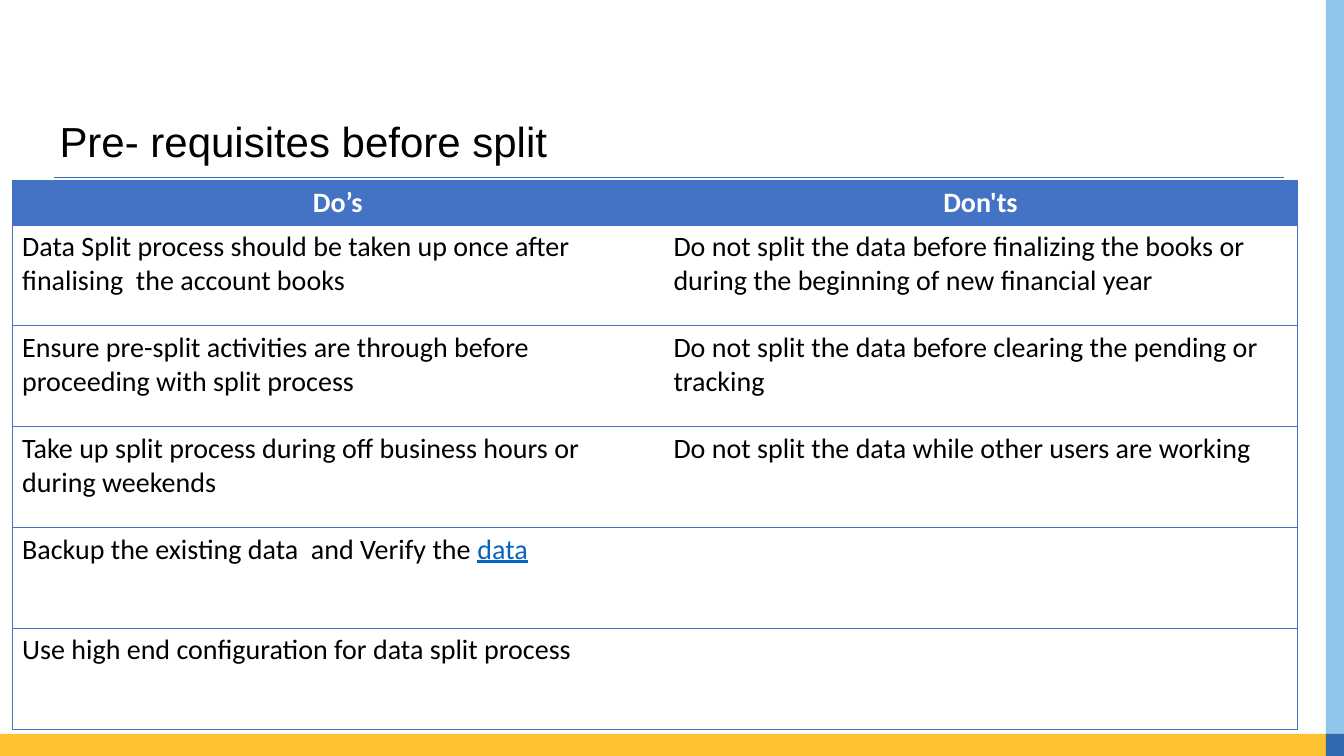
from lxml import etree
from pptx import Presentation
from pptx.dml.color import RGBColor
from pptx.enum.shapes import MSO_CONNECTOR, MSO_SHAPE
from pptx.enum.text import MSO_ANCHOR, MSO_AUTO_SIZE, PP_ALIGN
from pptx.oxml import parse_xml
from pptx.oxml.ns import nsdecls, qn
from pptx.util import Inches, Pt

BLACK = RGBColor(0x00, 0x00, 0x00)
WHITE = RGBColor(0xFF, 0xFF, 0xFF)
YELLOW = RGBColor(0xFF, 0xC0, 0x31)
SKY = RGBColor(0x90, 0xC4, 0xE9)
BLUE = RGBColor(0x2F, 0x69, 0xB0)
TABLE_BLUE = RGBColor(0x44, 0x72, 0xC4)
LINK_BLUE = RGBColor(0x05, 0x63, 0xC1)

HEADERS = ["Do’s", "Don'ts"]
ROWS = [
    ["Data Split process should be taken up once after finalising  the account books",
     "Do not split the data before finalizing the books or during the beginning of new financial year"],
    ["Ensure pre-split activities are through before  proceeding with split process",
     "Do not split the data before clearing the pending or tracking"],
    ["Take up split process during off business hours or during weekends",
     "Do not split the data while other users are working"],
    ["Backup the existing data  and Verify the ", ""],
    ["Use high end configuration for data split process", ""],
]
LINK_ROW = 4


def add_text(p, text, font="Calibri", size=20, color=BLACK, bold=False,
             underline=False, align=PP_ALIGN.LEFT):
    p.alignment = align
    r = p.add_run()
    r.text = text
    f = r.font
    f.name, f.size, f.bold, f.underline = font, Pt(size), bold, underline
    f.color.rgb = color


def set_borders(cell, sides):
    """Draw the given sides (of L, R, T, B) and clear the others."""
    tc_pr = cell._tc.get_or_add_tcPr()
    for i, side in enumerate("LRTB"):
        paint = (f'<a:solidFill><a:srgbClr val="{TABLE_BLUE}"/></a:solidFill>'
                 if side in sides else "<a:noFill/>")
        tc_pr.insert(i, parse_xml(
            f'<a:ln{side} {nsdecls("a")} w="{Pt(0.5)}">{paint}</a:ln{side}>'))


class SlideBuilder:
    def __init__(self, prs):
        self.s = prs.slides.add_slide(prs.slide_layouts[5])

    def bar(self, x, y, w, h, color):
        sp = self.s.shapes.add_shape(
            MSO_SHAPE.RECTANGLE, Inches(x), Inches(y), Inches(w), Inches(h))
        sp.shadow.inherit = False
        sp.fill.solid()
        sp.fill.fore_color.rgb = color
        sp.line.fill.background()

    def rule(self, x1, x2, y):
        line = self.s.shapes.add_connector(
            MSO_CONNECTOR.STRAIGHT, Inches(x1), Inches(y), Inches(x2), Inches(y))
        line.line.color.rgb = BLUE
        line.line.width = Pt(0.82)
        etree.SubElement(line._element.spPr, qn("a:effectLst"))

    def title(self, text, x, y, w, h):
        sp = self.s.shapes.title
        sp.left, sp.top, sp.width, sp.height = map(Inches, (x, y, w, h))
        tf = sp.text_frame
        tf.auto_size = MSO_AUTO_SIZE.NONE
        tf.vertical_anchor = MSO_ANCHOR.MIDDLE
        p = tf.paragraphs[0]
        p.line_spacing = 0.9
        add_text(p, text, font="Arial", size=30)

    def table(self, x, y, col_widths, row_heights):
        table = self.s.shapes.add_table(
            len(row_heights), len(col_widths), Inches(x), Inches(y),
            Inches(sum(col_widths)), Inches(sum(row_heights))).table
        table.horz_banding = False
        for col, width in zip(table.columns, col_widths):
            col.width = Inches(width)
        for row, height in zip(table.rows, row_heights):
            row.height = Inches(height)
        for i, texts in enumerate([HEADERS] + ROWS):
            for j, text in enumerate(texts):
                cell = table.cell(i, j)
                p = cell.text_frame.paragraphs[0]
                set_borders(cell, "LTB" if j == 0 else "RTB")
                if i == 0:
                    cell.fill.solid()
                    cell.fill.fore_color.rgb = TABLE_BLUE
                    add_text(p, text, color=WHITE, bold=True, align=PP_ALIGN.CENTER)
                else:
                    cell.fill.background()
                    if text:
                        add_text(p, text)
        add_text(table.cell(LINK_ROW, 0).text_frame.paragraphs[0], "data",
                 color=LINK_BLUE, underline=True)


def main():
    prs = Presentation()
    prs.slide_width, prs.slide_height = Inches(13.33), Inches(7.5)
    slide = SlideBuilder(prs)
    slide.bar(0, 7.28, 13.15, 0.22, YELLOW)
    slide.bar(13.15, 0, 0.18, 7.28, SKY)
    slide.bar(13.15, 7.28, 0.18, 0.22, BLUE)
    slide.rule(0.54, 12.73, 1.76)
    slide.table(0.12, 1.79, [6.46, 6.29], [0.44] + [1] * len(ROWS))
    slide.title("Pre- requisites before split", 0.49, 1.18, 12.2, 0.5)
    prs.save("out.pptx")


if __name__ == "__main__":
    main()
